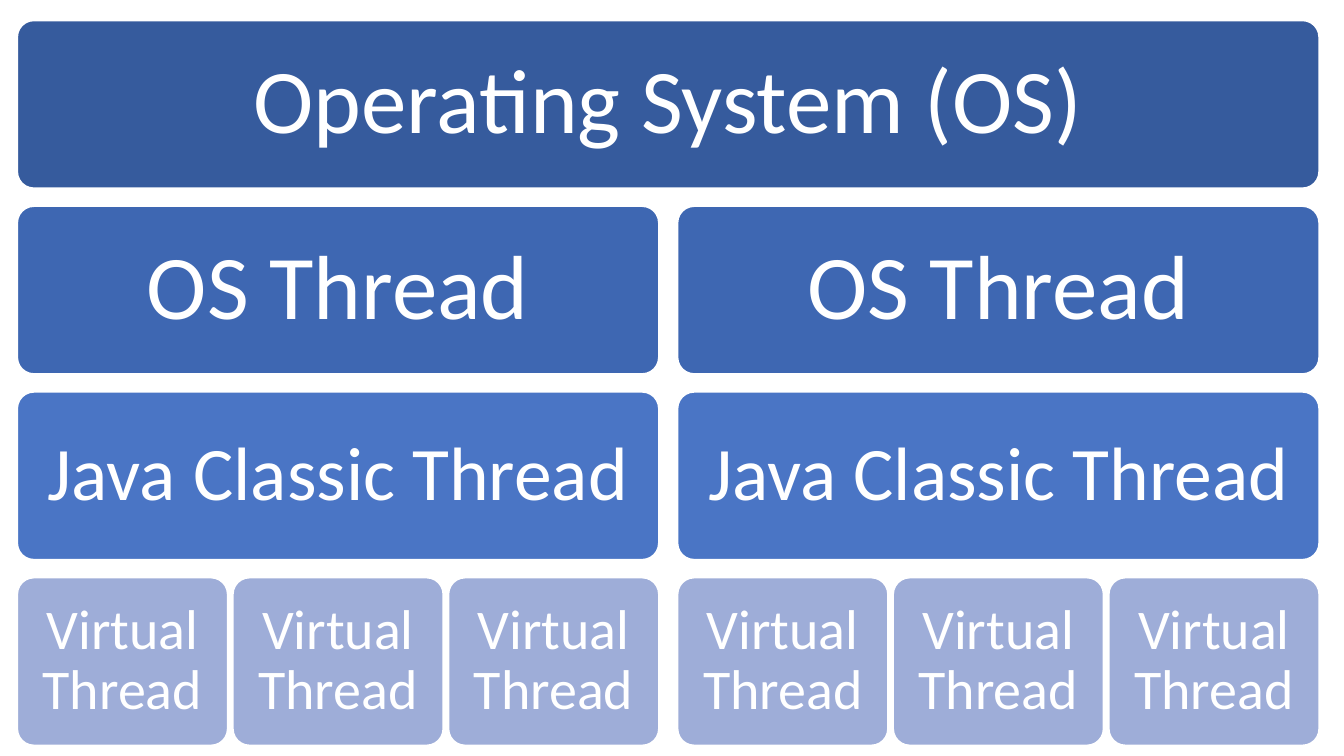
from pptx import Presentation
from pptx.dml.color import RGBColor
from pptx.enum.shapes import MSO_SHAPE
from pptx.enum.text import MSO_ANCHOR, PP_ALIGN
from pptx.util import Cm, Pt

LEFT, TOP = 0.43, 0.51
WIDTH, HEIGHT = 32.82, 4.24
ROW_PITCH = 4.68
HALF_GAP, VIRTUAL_GAP = 0.46, 0.12


def color(hex_text):
    return RGBColor.from_string(hex_text)


def split(left, width, count, gap):
    part = (width - gap * (count - 1)) / count
    return [(left + i * (part + gap), part) for i in range(count)]


class Deck:
    font = "Calibri"
    ink = "FFFFFF"

    def __init__(self):
        self.prs = Presentation()
        self.prs.slide_width = Cm(33.87)
        self.prs.slide_height = Cm(19.05)
        self.s = self.prs.slides.add_slide(self.prs.slide_layouts[6])

    def box(self, left, top, width, text, fill, size, inset):
        sp = self.s.shapes.add_shape(MSO_SHAPE.ROUNDED_RECTANGLE, Cm(left), Cm(top), Cm(width), Cm(HEIGHT))
        sp.adjustments[0] = 0.1
        sp.shadow.inherit = False
        sp.fill.solid()
        sp.fill.fore_color.rgb = color(fill)
        sp.line.color.rgb = color(self.ink)
        sp.line.width = Pt(1.5)
        tf = sp.text_frame
        tf.word_wrap = True
        tf.vertical_anchor = MSO_ANCHOR.MIDDLE
        tf.margin_left = tf.margin_right = tf.margin_top = tf.margin_bottom = Cm(inset)
        p = tf.paragraphs[0]
        p.alignment = PP_ALIGN.CENTER
        p.line_spacing = 0.9
        r = p.add_run()
        r.text = text
        r.font.name = self.font
        r.font.size = Pt(size)
        r.font.color.rgb = color(self.ink)


halves = split(LEFT, WIDTH, 2, HALF_GAP)
thirds = [cell for half in halves for cell in split(*half, 3, VIRTUAL_GAP)]
layers = [
    ([(LEFT, WIDTH)], "Operating System (OS)", "365B9D", 65, 0.7),
    (halves, "OS Thread", "3E67B2", 65, 0.7),
    (halves, "Java Classic Thread", "4A75C5", 54, 0.6),
    (thirds, "Virtual Thread", "9EADD8", 40, 0.45),
]

deck = Deck()
for row, (cells, text, fill, size, inset) in enumerate(layers):
    for left, width in cells:
        deck.box(left, TOP + row * ROW_PITCH, width, text, fill, size, inset)

deck.prs.save("out.pptx")
